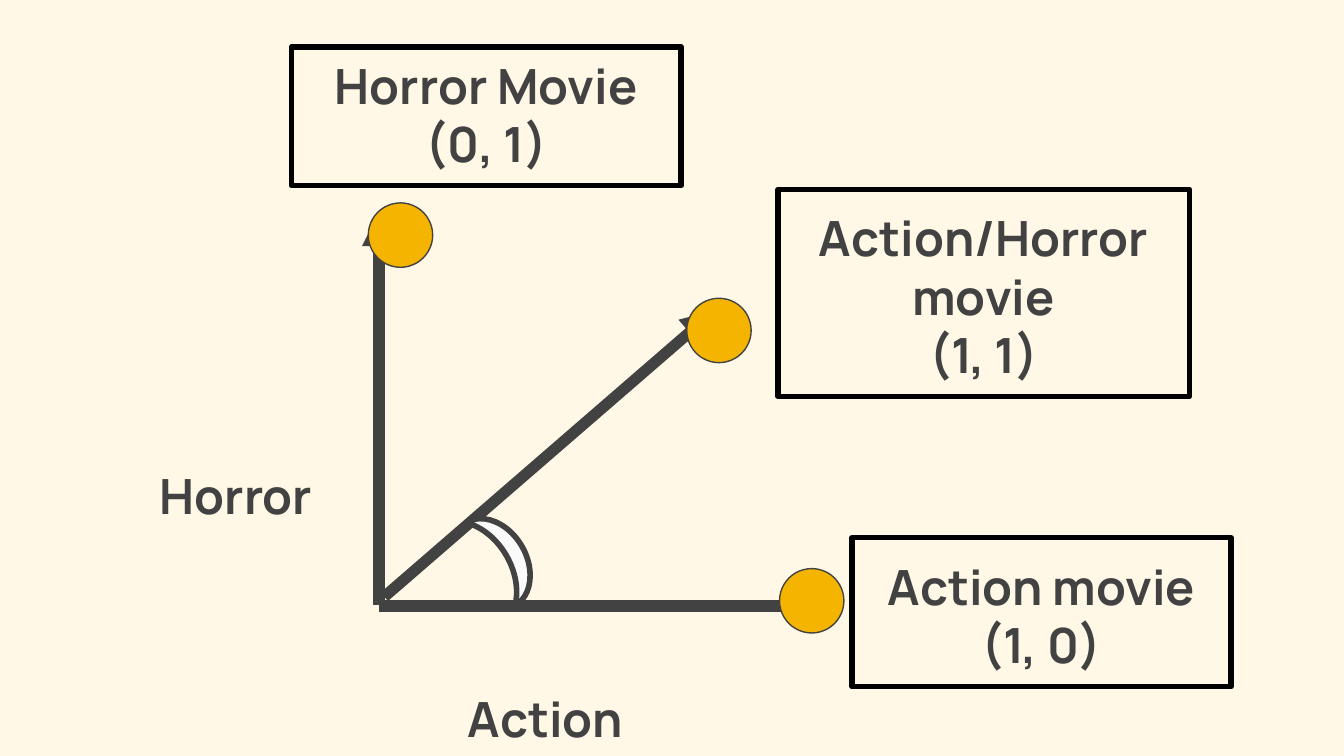
"""Build a slide that plots three movies as vectors on action and horror axes."""
import lxml.etree
import pptx
import pptx.dml.color
import pptx.enum.shapes
import pptx.enum.text
import pptx.oxml.ns
import pptx.util

Pt = pptx.util.Pt
Shape = pptx.enum.shapes.MSO_SHAPE
Align = pptx.enum.text.PP_ALIGN
qn = pptx.oxml.ns.qn

INK = "424242"


def rgb(hex_color):
    """Turn a hex string into a colour."""
    return pptx.dml.color.RGBColor.from_string(hex_color)


def write(shape, lines, align=Align.LEFT, spacing=1.0, gap=0, size=26, color=INK):
    """Fill a shape with one bottom-anchored paragraph per line."""
    frame = shape.text_frame
    frame.word_wrap = True
    frame.auto_size = pptx.enum.text.MSO_AUTO_SIZE.NONE
    frame.vertical_anchor = pptx.enum.text.MSO_ANCHOR.BOTTOM
    frame.margin_left = frame.margin_right = Pt(7.2)
    frame.margin_top = frame.margin_bottom = Pt(7.2)
    frame.text = "\n".join(lines)
    for paragraph in frame.paragraphs:
        paragraph.alignment = align
        paragraph.line_spacing = spacing
        paragraph.space_before = paragraph.space_after = Pt(gap)
        font = paragraph.runs[0].font
        font.name = "Manrope"
        font.size = Pt(size)
        font.bold = True
        font.color.rgb = rgb(color)


deck = pptx.Presentation()
deck.slide_width, deck.slide_height = Pt(720), Pt(405)
slide = deck.slides.add_slide(deck.slide_layouts[5])
slide.background.fill.solid()
slide.background.fill.fore_color.rgb = rgb("FFF8E7")
shapes = slide.shapes

action_label = shapes.title
action_label.left, action_label.top = Pt(243.4), Pt(308.2)
action_label.width, action_label.height = Pt(170.6), Pt(99.4)
horror_label = shapes.add_textbox(Pt(78.5), Pt(188.6), Pt(170.6), Pt(99.4))
for label, name in [(action_label, "Action"), (horror_label, "Horror")]:
    write(label, [name], spacing=1.5, gap=10)

vectors = [
    (203, 324, 203, 113.8),
    (203, 324.7, 446.4, 324.7),
    (205.9, 319.7, 383, 166.3),
]
for ends in vectors:
    vector = shapes.add_connector(
        pptx.enum.shapes.MSO_CONNECTOR.STRAIGHT, *map(Pt, ends))
    vector.line.width = Pt(6)
    vector.line.color.rgb = rgb(INK)
    outline = vector.line._get_or_add_ln()
    lxml.etree.SubElement(outline, qn("a:tailEnd"), type="triangle")
    lxml.etree.SubElement(vector._element.spPr, qn("a:effectLst"))

movies = [
    (["Action movie", "(1, 0)"], (456.5, 288, 203, 79.9)),
    (["Action/Horror movie", "(1, 1)"], (416.9, 101.5, 220.3, 110.9)),
    (["Horror Movie", "(0, 1)"], (156.2, 25.2, 208.8, 74.2)),
]
for lines, bounds in movies:
    movie = shapes.add_shape(Shape.RECTANGLE, *map(Pt, bounds))
    movie.shadow.inherit = False
    movie.fill.background()
    movie.line.color.rgb = rgb("000000")
    movie.line.width = Pt(3)
    write(movie, lines, align=Align.CENTER)

dot_size = 34.5
marks = [
    (Shape.OVAL, (197.3, 108.7, dot_size, dot_size), "F4B400", 0.75, 0),
    (Shape.OVAL, (367.9, 159.8, dot_size, dot_size), "F4B400", 0.75, 0),
    (Shape.OVAL, (417.6, 304.6, dot_size, dot_size), "F4B400", 0.75, 0),
    (Shape.MOON, (261.4, 271.4, 19.4, 51.8), "FAFAFA", 3, 149.5),
]
for kind, bounds, fill, weight, angle in marks:
    mark = shapes.add_shape(kind, *map(Pt, bounds))
    mark.shadow.inherit = False
    mark.rotation = angle
    mark.fill.solid()
    mark.fill.fore_color.rgb = rgb(fill)
    mark.line.color.rgb = rgb(INK)
    mark.line.width = Pt(weight)

deck.save("out.pptx")
